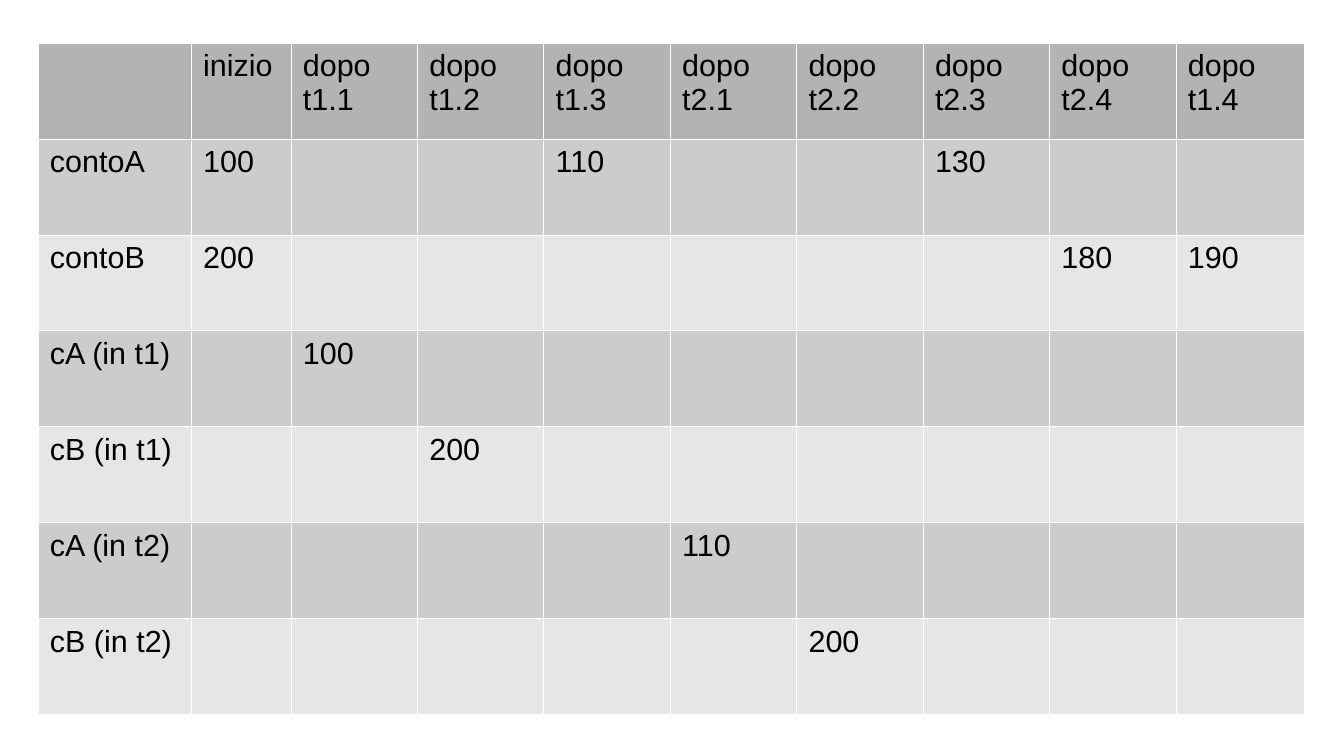
from dataclasses import dataclass

from lxml import etree
from pptx import Presentation
from pptx import util as u
from pptx.dml.color import RGBColor
from pptx.oxml import ns


@dataclass(frozen=True)
class Theme:
    font: str = "Arial"
    size: float = 18
    ink: str = "000000"
    border: str = "FFFFFF"
    border_width: float = 0.06
    header: str = "B3B3B3"
    bands: tuple = ("CCCCCC", "E6E6E6")


THEME = Theme()
STEPS = ["t1.1", "t1.2", "t1.3", "t2.1", "t2.2", "t2.3", "t2.4", "t1.4"]
HEADINGS = ["", "inizio"] + [f"dopo {step}" for step in STEPS]
BALANCES = {
    "contoA": {"inizio": "100", "dopo t1.3": "110", "dopo t2.3": "130"},
    "contoB": {"inizio": "200", "dopo t2.4": "180", "dopo t1.4": "190"},
    "cA (in t1)": {"dopo t1.1": "100"},
    "cB (in t1)": {"dopo t1.2": "200"},
    "cA (in t2)": {"dopo t2.1": "110"},
    "cB (in t2)": {"dopo t2.2": "200"},
}
COLUMN_WIDTHS = [1.26, 0.82] + [1.04] * 7 + [1.06]


def add_borders(cell):
    properties = cell._tc.get_or_add_tcPr()
    for side in ("lnL", "lnR", "lnT", "lnB"):
        line = etree.SubElement(properties, ns.qn(f"a:{side}"),
                                w=str(int(u.Pt(THEME.border_width))))
        fill = etree.SubElement(line, ns.qn("a:solidFill"))
        etree.SubElement(fill, ns.qn("a:srgbClr"), val=THEME.border)


def format_cell(cell, value, color):
    add_borders(cell)
    cell.fill.solid()
    cell.fill.fore_color.rgb = RGBColor.from_string(color)
    cell.margin_left = cell.margin_right = u.Inches(0.1)
    cell.margin_top = cell.margin_bottom = u.Inches(0.05)
    cell.text_frame.text = value
    font = cell.text_frame.paragraphs[0].font
    font.name = THEME.font
    font.size = u.Pt(THEME.size)
    font.color.rgb = RGBColor.from_string(THEME.ink)


def add_balance_table(slide, left, top, width, height):
    rows = [HEADINGS]
    for name, values in BALANCES.items():
        rows.append([name] + [values.get(heading, "") for heading in HEADINGS[1:]])
    table = slide.shapes.add_table(
        len(rows), len(HEADINGS), u.Inches(left), u.Inches(top),
        u.Inches(width), u.Inches(height)).table
    table.first_row = table.horz_banding = False
    for column, share in zip(table.columns, COLUMN_WIDTHS):
        column.width = u.Inches(width * share / sum(COLUMN_WIDTHS))
    for index, values in enumerate(rows):
        table.rows[index].height = u.Inches(height / len(rows))
        color = THEME.bands[(index - 1) % 2] if index else THEME.header
        for column, value in enumerate(values):
            format_cell(table.cell(index, column), value, color)


def main():
    presentation = Presentation()
    presentation.slide_width = u.Inches(11.02)
    presentation.slide_height = u.Inches(6.2)
    slide = presentation.slides.add_slide(presentation.slide_layouts[6])
    add_balance_table(slide, 0.31, 0.35, 10.39, 5.51)
    presentation.save("out.pptx")


if __name__ == "__main__":
    main()
